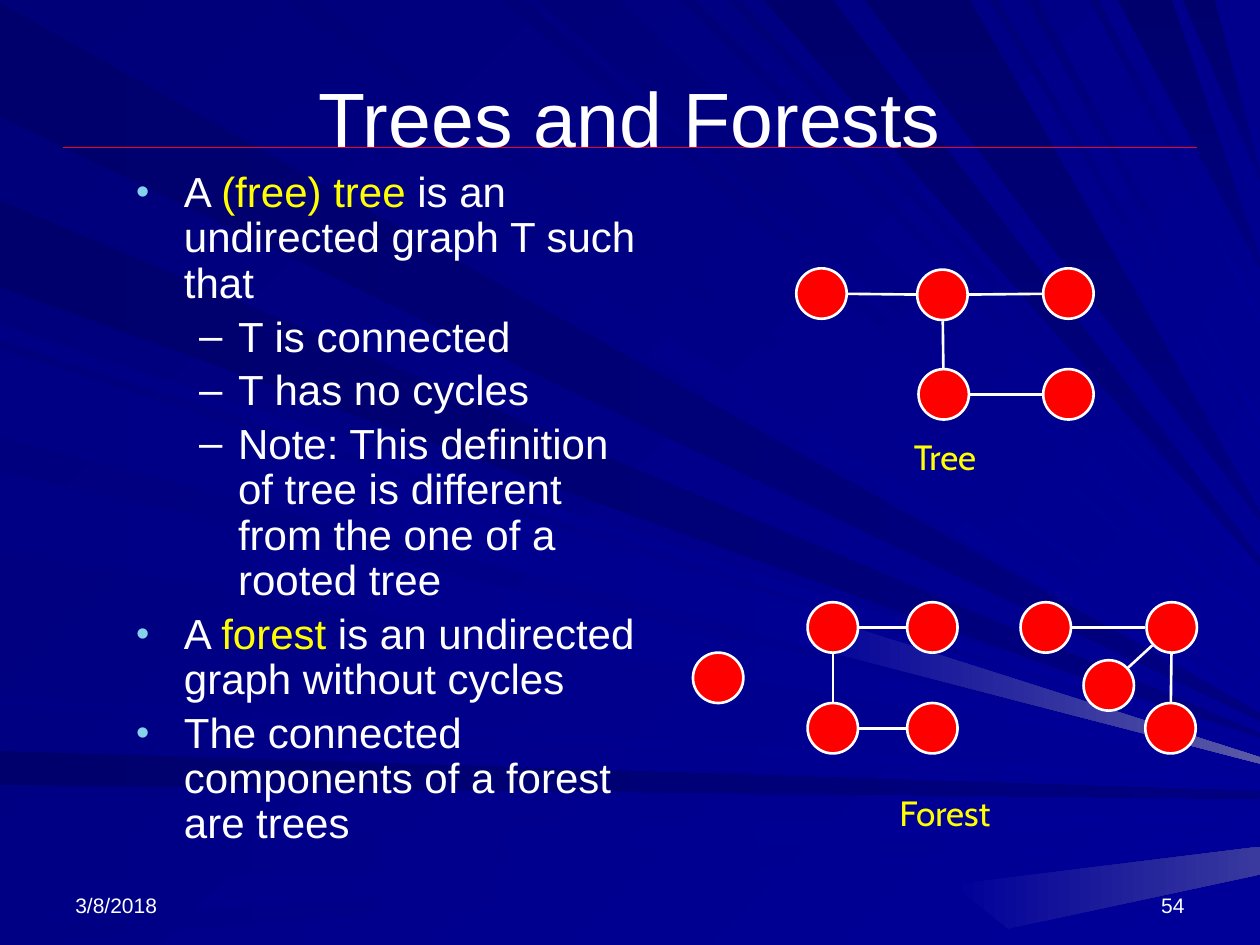
from math import hypot
from lxml.etree import SubElement
from pptx import Presentation
from pptx.dml.color import RGBColor
from pptx.enum.shapes import MSO_CONNECTOR as Link, MSO_SHAPE as Form
from pptx.enum.text import MSO_ANCHOR as Anchor, MSO_AUTO_SIZE as Fit, PP_ALIGN as Align
from pptx.oxml.ns import qn
from pptx.util import Pt

PX = 9144  # EMU in one px, 100 px to the inch
WIDE, HIGH = 1000, 750

WHITE = RGBColor(0xFF, 0xFF, 0xFF)
YELLOW = RGBColor(0xFF, 0xFF, 0x00)
RED = RGBColor(0xFF, 0x00, 0x00)
RULE = RGBColor(0xEF, 0x01, 0x29)
SKY = RGBColor(0x86, 0xD1, 0xEC)
INK = RGBColor(0x00, 0x00, 0x6C)
DEEP = RGBColor(0x00, 0x00, 0x78)
NAVY = RGBColor(0x00, 0x00, 0x80)
COBALT = RGBColor(0x00, 0x00, 0x85)
BLUE = RGBColor(0x00, 0x00, 0x99)
DUSK = RGBColor(0x39, 0x39, 0x9E)
MIST = RGBColor(0x5A, 0x5A, 0xA6)

# Light rays: start and width on the slide's edge, end on the right edge
LEFT_DARK = [(2, 91, 569), (596, 27, 631), (159, 69, 585)]
LEFT_LIGHT = [(665, 39, 647), (735, 15, 662), (258, 12, 589), (278, 64, 599),
              (374, 63, 606), (552, 8, 622), (283, 64, 603)]
TOP_DARK = [(606, 55, 446), (686, 84, 410), (887, 43, 210), (939, 25, 140)]
TOP_LIGHT = [(26, 75, 562), (225, 22, 550), (398, 18, 518), (426, 66, 493),
             (540, 12, 463), (577, 11, 454), (785, 7, 357), (815, 9, 336), (865, 7, 254)]
TIP = 3  # half of a ray's width at its end

# Body text: level, then runs; every second run is highlighted
POINTS = [
    (0, "A ", "(free) tree", " is an undirected graph T such that"),
    (1, "T is connected"),
    (1, "T has no cycles"),
    (1, "Note: This definition of tree is different from the one of a rooted tree"),
    (0, "A ", "forest", " is an undirected graph without cycles"),
    (0, "The connected components of a forest are trees"),
]

# Graphs: node centres within the box, then pairs of joined nodes
TREE = ([(58, 20), (154, 21), (254, 20), (155, 100), (254, 100)],
        [(0, 1), (3, 1), (2, 1), (3, 4)])
FOREST = ([(20, 60), (111, 20), (190, 20), (111, 100), (190, 100),
           (280, 20), (380, 20), (379, 100), (330, 66)],
          [(3, 1), (2, 1), (3, 4), (8, 6), (7, 6), (5, 6)])


def emu(*sizes):
    return [round(size * PX) for size in sizes]


def blend(fill, first, last, angle):
    fill.gradient()
    fill.gradient_angle = (360 - angle) % 360
    for stop, hue in zip(fill.gradient_stops, (first, last)):
        stop.color.rgb = hue


def style(par, size, hue, align=Align.LEFT, face="Arial"):
    par.alignment = align
    font = par.font
    font.size, font.name, font.color.rgb = Pt(size), face, hue


def line(shapes, x1, y1, x2, y2, hue, width):
    link = shapes.add_connector(Link.STRAIGHT, *emu(x1, y1, x2, y2))
    link.line.color.rgb, link.line.width = hue, Pt(width)
    SubElement(link._element.spPr, qn("a:effectLst"))


def label(slide, box, text, *look, anchor=Anchor.TOP):
    frame = slide.shapes.add_textbox(*emu(*box)).text_frame
    frame.word_wrap, frame.vertical_anchor = True, anchor
    frame.text = text
    style(frame.paragraphs[0], *look)


def ray(shapes, dots, *hues):
    start, *rest = [emu(*dot) for dot in dots]
    pen = shapes.build_freeform(*start)
    pen.add_line_segments(rest, close=True)
    shape = pen.convert_to_shape()
    shape.shadow.inherit = False
    shape.line.fill.background()
    blend(shape.fill, *hues)


def scene(slide):
    blend(slide.background.fill, DEEP, BLUE, 45)
    group = slide.shapes.add_group_shape().shapes
    for rays, *hues in [(LEFT_DARK, INK, NAVY, 0), (LEFT_LIGHT, COBALT, BLUE, 0)]:
        for y, size, end in rays:
            ray(group, [(0, y), (WIDE, end - TIP), (WIDE, end + TIP), (0, y + size)], *hues)
    for rays, *hues in [(TOP_LIGHT, DEEP, BLUE, 45), (TOP_DARK, INK, NAVY, 90)]:
        for x, size, end in rays:
            ray(group, [(x, 0), (WIDE, end + TIP), (WIDE, end - TIP), (x + size, 0)], *hues)
    # Gleams at the right edge
    ray(group, [(637, 485), (WIDE, 601), (WIDE, 606), (633, 511)], BLUE, MIST, 0)
    ray(group, [(756, 702), (WIDE, 672), (WIDE, 694), (800, 737)], BLUE, DUSK, 0)
    line(slide.shapes, 50, 117, 950, 117, RULE, 0.75)


def place(slide, holder, box, anchor):
    # Placeholders are raised above the rays
    slide.shapes._spTree.append(holder._element)
    holder.left, holder.top, holder.width, holder.height = emu(*box)
    frame = holder.text_frame
    frame.auto_size, frame.word_wrap = Fit.NONE, True
    frame.vertical_anchor = anchor
    return frame


def title(slide, box, text):
    frame = place(slide, slide.shapes.title, box, Anchor.MIDDLE)
    frame.text = text
    style(frame.paragraphs[0], 44, WHITE, Align.CENTER)


def bullet(par, level):
    indent, hang, mark, hue, size = [(38, 38, "•", SKY, 90), (81, 31, "–", WHITE, 100)][level]
    props = par._p.get_or_add_pPr()
    left, first = emu(indent, -hang)
    props.set("marL", str(left))
    props.set("indent", str(first))
    tint = SubElement(props, qn("a:buClr"))
    SubElement(tint, qn("a:srgbClr"), val=str(hue))
    SubElement(props, qn("a:buSzPct"), val=str(size * 1000))
    SubElement(props, qn("a:buChar"), char=mark)


def body(slide, box):
    frame = place(slide, slide.placeholders[1], box, Anchor.TOP)
    for num, (level, *texts) in enumerate(POINTS):
        par = frame.add_paragraph() if num else frame.paragraphs[0]
        par.level = level
        bullet(par, level)
        par.line_spacing = 0.9
        par.space_before = Pt(4.8 if num else 0)
        style(par, 24, WHITE)
        for spot, text in enumerate(texts):
            run = par.add_run()
            run.text = text
            if spot % 2:
                run.font.color.rgb = YELLOW


def graph(slide, box, name, nodes, edges):
    left, top, width, height = box
    label(slide, (left, top + height - 43, width, 43), name, 20, YELLOW, Align.CENTER, "Cabin")
    group = slide.shapes.add_group_shape().shapes
    mids = [(left + x, top + y) for x, y in nodes]
    for x, y in mids:
        node = group.add_shape(Form.OVAL, *emu(x - 20, y - 20, 40, 40))
        node.shadow.inherit = False
        node.fill.solid()
        node.fill.fore_color.rgb = RED
        node.line.color.rgb, node.line.width = WHITE, Pt(1.5)
    # Edges stop just outside both circles
    for start, end in edges:
        (x1, y1), (x2, y2) = mids[start], mids[end]
        part = 21 / hypot(x2 - x1, y2 - y1)
        dx, dy = (x2 - x1) * part, (y2 - y1) * part
        line(group, x1 + dx, y1 + dy, x2 - dx, y2 - dy, WHITE, 1.5)


def main():
    deck = Presentation()
    deck.slide_width, deck.slide_height = emu(WIDE, HIGH)
    slide = deck.slides.add_slide(deck.slide_layouts[1])
    scene(slide)
    label(slide, (50, 683, 233, 50), "3/8/2018", 12, WHITE, anchor=Anchor.BOTTOM)
    label(slide, (717, 683, 233, 50), "54", 12, WHITE, Align.RIGHT, anchor=Anchor.BOTTOM)
    title(slide, (50, 30, 900, 125), "Trees and Forests")
    body(slide, (98, 131, 425, 517))
    graph(slide, (594, 213, 312, 171), "Tree", *TREE)
    graph(slide, (550, 478, 400, 188), "Forest", *FOREST)
    deck.save("out.pptx")


if __name__ == "__main__":
    main()
